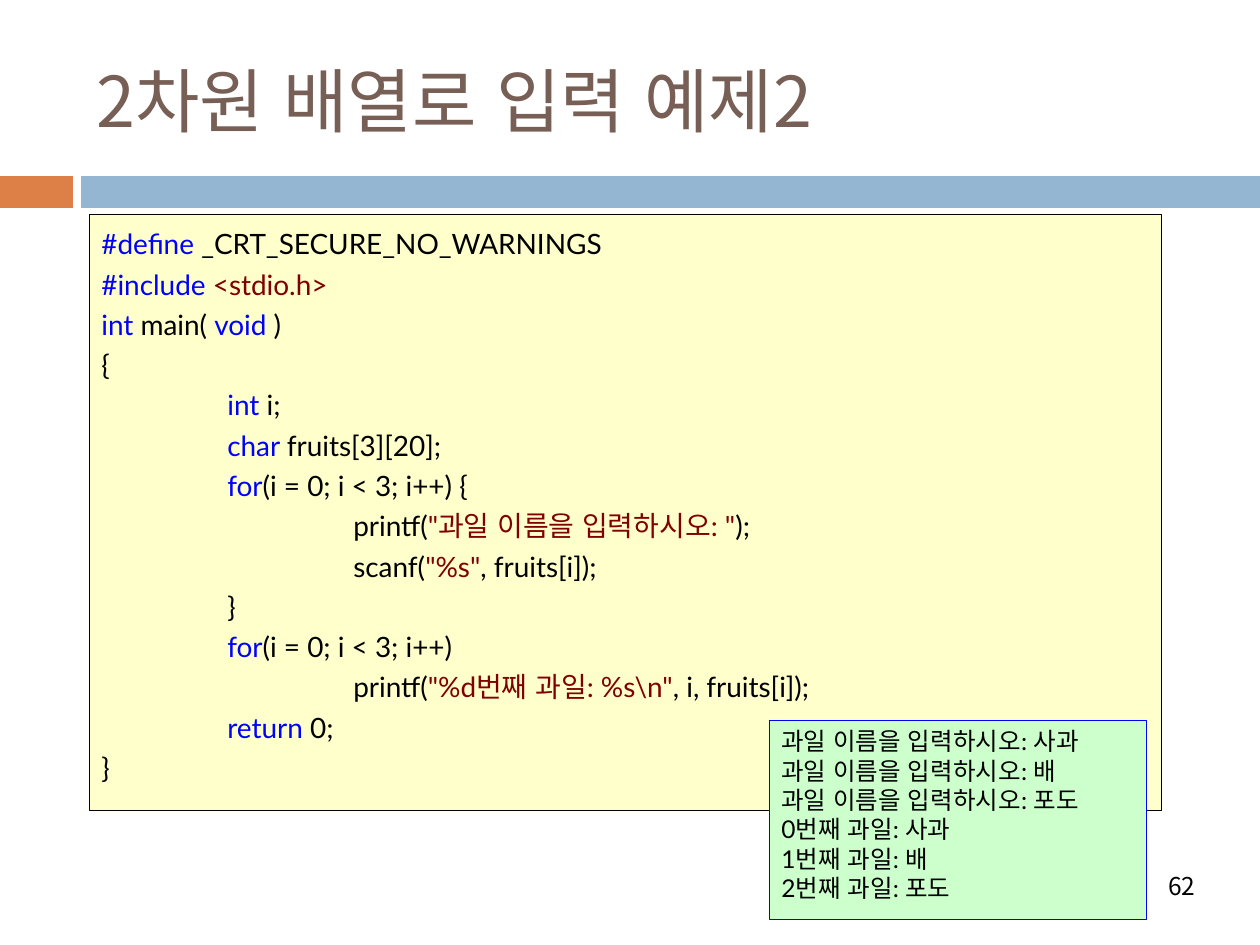
from pptx import Presentation
from pptx.dml.color import RGBColor as RGB
from pptx.enum.lang import MSO_LANGUAGE_ID as Lang
from pptx.enum.shapes import MSO_SHAPE as Shape
from pptx.enum.text import MSO_ANCHOR as Anchor, PP_ALIGN as Align
from pptx.oxml.ns import qn
from pptx.util import Emu, Pt

SCALE = 914400 / 126
LATIN, HANGUL = "Lato", "Noto Sans CJK KR"
BLACK, BLUE, RED = RGB(0, 0, 0), RGB(0, 0, 255), RGB(128, 0, 0)
BROWN, ORANGE, SKY = RGB(0x77, 0x5F, 0x55), RGB(0xDD, 0x80, 0x47), RGB(0x94, 0xB6, 0xD2)
CREAM, MINT = RGB(0xFF, 0xFF, 0xCC), RGB(0xCC, 0xFF, 0xCC)

CODE = [
    [("#define ", BLUE), "_CRT_SECURE_NO_WARNINGS"],
    [("#include ", BLUE), ("<stdio.h>", RED)],
    [("int ", BLUE), "main( ", ("void ", BLUE), ")"],
    ["{"],
    ["\t", ("int ", BLUE), "i;"],
    ["\t", ("char ", BLUE), "fruits[3][20];"],
    ["\t", ("for", BLUE), "(i = 0; i < 3; i++) {"],
    ["\t\tprintf(", ('"과일 이름을 입력하시오: "', RED), ");"],
    ["\t\tscanf(", ('"%s"', RED), ", fruits[i]);"],
    ["\t}"],
    ["\t", ("for", BLUE), "(i = 0; i < 3; i++)"],
    ["\t\tprintf(", ('"%d번째 과일: %s\\n"', RED), ", i, fruits[i]);"],
    ["\t", ("return ", BLUE), "0;"],
    ["}"],
]
FRUITS = ["사과", "배", "포도"]


def px(num):
    """Turn px into EMU."""
    return Emu(round(num * SCALE))


def write(shape, lines, size=14, font=LATIN, color=BLACK, align=Align.LEFT,
          anchor=Anchor.TOP, space=None, tab=126):
    """Fill a shape with lines, each a list of strings or (string, colour) pairs."""
    frame = shape.text_frame
    frame.word_wrap = True
    frame.vertical_anchor = anchor
    for num, line in enumerate(lines):
        para = frame.add_paragraph() if num else frame.paragraphs[0]
        para.alignment = align
        para._p.get_or_add_pPr().set("defTabSz", str(px(tab)))
        if space:
            para.line_spacing = space
        for part in line:
            text, tint = part if isinstance(part, tuple) else (part, color)
            run = para.add_run()
            run.text = text
            run.font.size = Pt(size)
            run.font.name = font
            run.font.color.rgb = tint
            run.font.language_id = Lang.KOREAN
            east = run.font._element.makeelement(qn("a:ea"), {"typeface": HANGUL})
            run.font._element.find(qn("a:latin")).addnext(east)


def panel(slide, box, fill, line=None, width=0.25):
    """Draw a filled rectangle, outlined if a line colour is given."""
    shape = slide.shapes.add_shape(Shape.RECTANGLE, *map(px, box))
    shape.shadow.inherit = False
    shape.fill.solid()
    shape.fill.fore_color.rgb = fill
    if line is None:
        shape.line.fill.background()
    else:
        shape.line.color.rgb = line
        shape.line.width = Pt(width)
    return shape


def header(slide, box):
    """Place the title and the two-colour band along the foot of the box."""
    left, top, width, height = box
    band, mark, gap = 32, 73, 8
    title = slide.shapes.title
    title.left, title.top = px(left + 84), px(top + 32)
    title.width, title.height = px(1124), px(136)
    write(title, [["2차원 배열로 입력 예제2"]], size=40, font=HANGUL, color=BROWN,
          anchor=Anchor.MIDDLE)
    foot, start = top + height - band, mark + gap
    panel(slide, (left, foot, mark, band), ORANGE)
    panel(slide, (left + start, foot, width - start, band), SKY)


def listing(slide, box):
    """Place the program text."""
    write(panel(slide, box, CREAM, BLACK), CODE, size=16, space=1.2)


def output(slide, box):
    """Place what the program prints."""
    lines = [[f"과일 이름을 입력하시오: {name}"] for name in FRUITS]
    lines += [[f"{num}번째 과일: {name}"] for num, name in enumerate(FRUITS)]
    write(panel(slide, box, MINT, BLUE, 0.33), lines)


def number(slide, box):
    """Place the page number."""
    write(slide.shapes.add_textbox(*map(px, box)), [["62"]], font=HANGUL,
          align=Align.RIGHT, anchor=Anchor.MIDDLE)


def main():
    """Build and save the slide."""
    deck = Presentation()
    deck.slide_width, deck.slide_height = px(1260), px(945)
    slide = deck.slides.add_slide(deck.slide_layouts[5])
    header(slide, (0, 0, 1260, 208))
    listing(slide, (89, 214, 1072, 596))
    output(slide, (769, 720, 377, 199))
    number(slide, (858, 861, 350, 50))
    deck.save("out.pptx")


if __name__ == "__main__":
    main()
